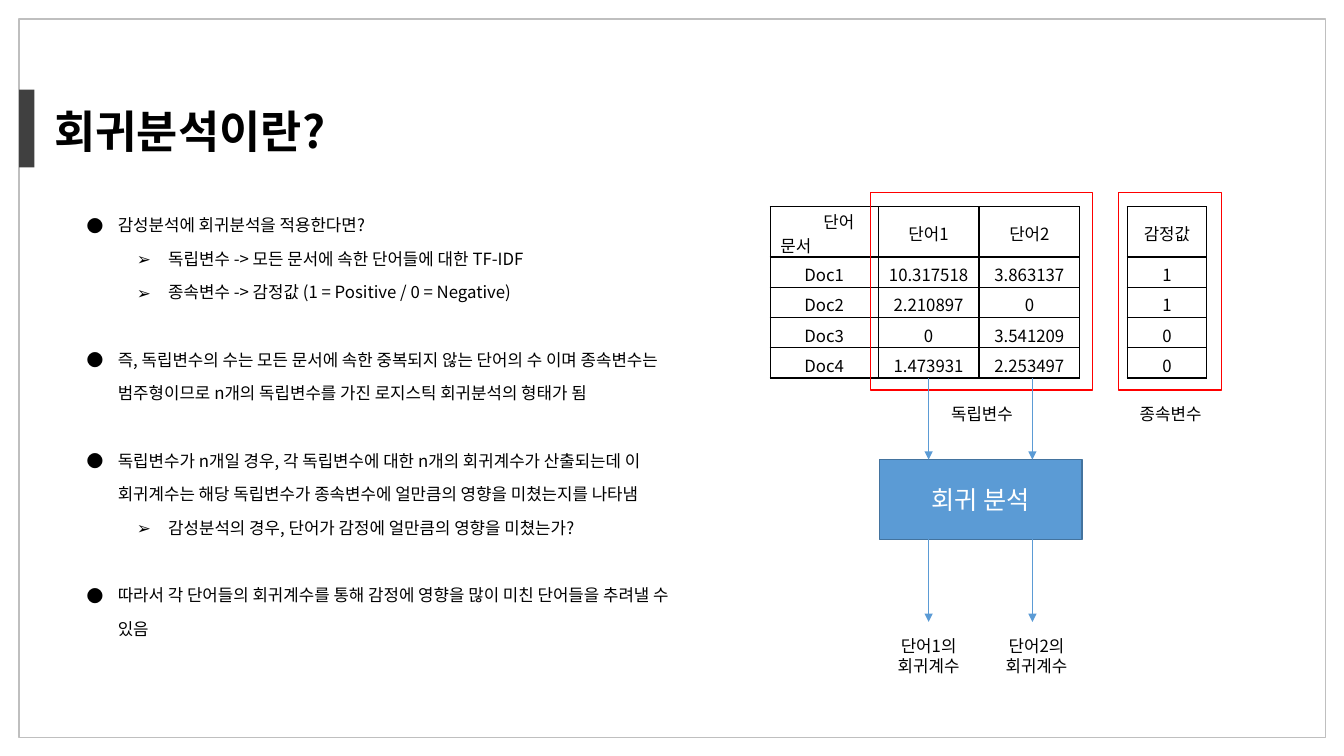
from dataclasses import dataclass

from lxml import etree
from pptx import Presentation
from pptx.dml.color import RGBColor
from pptx.enum.shapes import MSO_CONNECTOR, MSO_SHAPE
from pptx.enum.text import MSO_ANCHOR, PP_ALIGN
from pptx.oxml.ns import qn
from pptx.util import Inches, Pt

LEFT, CENTER = PP_ALIGN.LEFT, PP_ALIGN.CENTER
MIDDLE, TOP = MSO_ANCHOR.MIDDLE, MSO_ANCHOR.TOP
RECTANGLE, STRAIGHT = MSO_SHAPE.RECTANGLE, MSO_CONNECTOR.STRAIGHT
FONT = "Noto Sans CJK KR"
COLORS = {"black": "000000", "white": "FFFFFF", "frame": "BFBFBF", "accent": "404040",
          "highlight": "FF0000", "blue": "5B9BD5", "blue_edge": "43739E"}


@dataclass
class Box:
    left: float
    top: float
    width: float
    height: float
    fill: str = ""
    line: str = ""
    line_width: float = 1


@dataclass
class Label:
    text: str
    left: float
    top: float
    width: float
    height: float
    wrap: bool = False


@dataclass
class Point:
    text: str
    level: int = 0
    starts_group: bool = False


def color(name: str) -> RGBColor:
    return RGBColor.from_string(COLORS[name])


def add_text(paragraph, text: str, size: float = 12, ink: str = "black", bold: bool = False) -> None:
    run = paragraph.add_run()
    run.text = text
    run.font.size, run.font.bold, run.font.name = Pt(size), bold, FONT
    run.font.color.rgb = color(ink)
    etree.SubElement(run._r.get_or_add_rPr(), qn("a:ea")).set("typeface", FONT)


def add_box(slide, box: Box):
    shape = slide.shapes.add_shape(RECTANGLE, Inches(box.left), Inches(box.top),
                                   Inches(box.width), Inches(box.height))
    shape.shadow.inherit = False
    if box.fill:
        shape.fill.solid()
        shape.fill.fore_color.rgb = color(box.fill)
    else:
        shape.fill.background()
    if box.line:
        shape.line.color.rgb = color(box.line)
        shape.line.width = Pt(box.line_width)
    else:
        shape.line.fill.background()
    return shape


def add_label(slide, label: Label) -> None:
    frame = slide.shapes.add_textbox(Inches(label.left), Inches(label.top),
                                     Inches(label.width), Inches(label.height)).text_frame
    frame.word_wrap = label.wrap
    paragraph = frame.paragraphs[0]
    paragraph.alignment = CENTER
    paragraph.line_spacing = Pt(14.4)
    add_text(paragraph, label.text)


def add_point(paragraph, point: Point) -> None:
    properties = paragraph._p.get_or_add_pPr()
    properties.set("marL", str(Inches(0.31 + 0.5 * point.level)))
    properties.set("indent", str(Inches(-0.31)))
    etree.SubElement(properties, qn("a:buFont")).set("typeface", FONT)
    etree.SubElement(properties, qn("a:buChar")).set("char", "●➢"[point.level])
    paragraph.level = point.level
    paragraph.line_spacing = Pt(24)
    if point.starts_group:
        paragraph.space_before = Pt(24)
    add_text(paragraph, point.text)


def add_arrow(slide, x: float, start: float, end: float) -> None:
    arrow = slide.shapes.add_connector(STRAIGHT, Inches(x), Inches(start), Inches(x), Inches(end))
    arrow.line.color.rgb = color("blue")
    arrow.line.width = Pt(0.5)
    etree.SubElement(arrow.line._get_or_add_ln(), qn("a:tailEnd")).set("type", "triangle")
    etree.SubElement(arrow._element.spPr, qn("a:effectLst"))


def set_borders(cell, sides: str) -> None:
    properties = cell._tc.get_or_add_tcPr()
    for position, side in enumerate("LRTB"):
        border = etree.Element(qn(f"a:ln{side}"), w=str(Pt(1)))
        if side in sides:
            fill = etree.SubElement(border, qn("a:solidFill"))
            etree.SubElement(fill, qn("a:srgbClr")).set("val", COLORS["black"])
        else:
            etree.SubElement(border, qn("a:noFill"))
        properties.insert(position, border)


def fill_cell(cell, text: str, is_header: bool) -> None:
    cell.fill.background()
    cell.margin_top, cell.margin_bottom = Inches(0.02 if is_header else 0.05), 0
    cell.vertical_anchor = MIDDLE if is_header else TOP
    paragraph = cell.text_frame.paragraphs[0]
    paragraph.alignment = CENTER
    if text:
        add_text(paragraph, text)
        set_borders(cell, "LRTB")
    else:
        etree.SubElement(paragraph._p, qn("a:endParaRPr")).set("sz", "1200")
        set_borders(cell, "LR")


def add_tfidf_table(slide) -> None:
    widths, heights = [1.07, 1, 1, 0.47, 0.79], [0.5] + [0.3] * 4
    table = slide.shapes.add_table(len(ROWS), len(widths), Inches(7.64), Inches(2.05),
                                   Inches(sum(widths)), Inches(sum(heights))).table
    table.first_row = table.horz_banding = False
    for column, width in zip(table.columns, widths):
        column.width = Inches(width)
    for row, height, texts in zip(table.rows, heights, ROWS):
        row.height = Inches(height)
        for cell, text in zip(row.cells, texts):
            fill_cell(cell, text, texts is ROWS[0])
    # Corner cell: word axis shifted right, document axis below
    corner = table.cell(0, 0)
    corner.vertical_anchor = TOP
    corner.text_frame.paragraphs[0]._p.get_or_add_pPr().set("marL", str(Inches(0.29)))
    document_axis = corner.text_frame.add_paragraph()
    document_axis.alignment = LEFT
    add_text(document_axis, "문서")


ROWS = [
    ["단어", "단어1", "단어2", "", "감정값"],
    ["Doc1", "10.317518", "3.863137", "", "1"],
    ["Doc2", "2.210897", "0", "", "1"],
    ["Doc3", "0", "3.541209", "", "0"],
    ["Doc4", "1.473931", "2.253497", "", "0"],
]
POINTS = [
    Point("감성분석에 회귀분석을 적용한다면?"),
    Point("독립변수 -> 모든 문서에 속한 단어들에 대한 TF-IDF", 1),
    Point("종속변수 -> 감정값 (1 = Positive / 0 = Negative)", 1),
    Point("즉, 독립변수의 수는 모든 문서에 속한 중복되지 않는 단어의 수 이며 종속변수는 "
          "범주형이므로 n개의 독립변수를 가진 로지스틱 회귀분석의 형태가 됨", starts_group=True),
    Point("독립변수가 n개일 경우, 각 독립변수에 대한 n개의 회귀계수가 산출되는데 이 "
          "회귀계수는 해당 독립변수가 종속변수에 얼만큼의 영향을 미쳤는지를 나타냄", starts_group=True),
    Point("감성분석의 경우, 단어가 감정에 얼만큼의 영향을 미쳤는가?", 1),
    Point("따라서 각 단어들의 회귀계수를 통해 감정에 영향을 많이 미친 단어들을 추려낼 수 있음",
          starts_group=True),
]
LABELS = [
    Label("독립변수", 9.3, 3.96, 0.88, 0.3),
    Label("종속변수", 11.17, 3.96, 0.88, 0.3),
    Label("단어1의 회귀계수", 8.75, 6.26, 0.92, 0.5, True),
    Label("단어2의 회귀계수", 9.82, 6.26, 0.92, 0.5, True),
]


def main() -> None:
    deck = Presentation()
    deck.slide_width, deck.slide_height = Inches(13.33), Inches(7.5)
    slide = deck.slides.add_slide(deck.slide_layouts[5])

    # Frame, accent bar and title
    add_box(slide, Box(0.19, 0.19, 12.96, 7.13, line="frame"))
    add_box(slide, Box(0.19, 0.89, 0.15, 0.77, fill="accent"))
    title = slide.shapes.title
    title.left, title.top = Inches(0.44), Inches(0.98)
    title.width, title.height = Inches(3.1), Inches(0.64)
    title.text_frame.word_wrap = False
    title.text_frame.vertical_anchor = MIDDLE
    title.text_frame.paragraphs[0].alignment = LEFT
    add_text(title.text_frame.paragraphs[0], "회귀분석이란?", 32, bold=True)

    # Explanation
    explanation = slide.shapes.add_textbox(Inches(0.76), Inches(1.95), Inches(6.29), Inches(5.1)).text_frame
    explanation.word_wrap = True
    for index, point in enumerate(POINTS):
        add_point(explanation.add_paragraph() if index else explanation.paragraphs[0], point)

    # Word scores with highlighted variables
    add_tfidf_table(slide)
    for left, width in ((8.63, 2.21), (11.09, 1.03)):
        add_box(slide, Box(left, 1.91, width, 1.96, line="highlight", line_width=0.75))
    for label in LABELS:
        add_label(slide, label)

    # Regression step and its flows
    regression = add_box(slide, Box(8.72, 4.56, 2.01, 0.79, "blue", "blue_edge")).text_frame
    regression.vertical_anchor = MIDDLE
    regression.paragraphs[0].alignment = CENTER
    add_text(regression.paragraphs[0], "회귀 분석", 18, "white")
    for start, end in ((3.75, 4.56), (5.35, 6.17)):
        for x in (9.21, 10.24):
            add_arrow(slide, x, start, end)

    deck.save("out.pptx")


if __name__ == "__main__":
    main()
